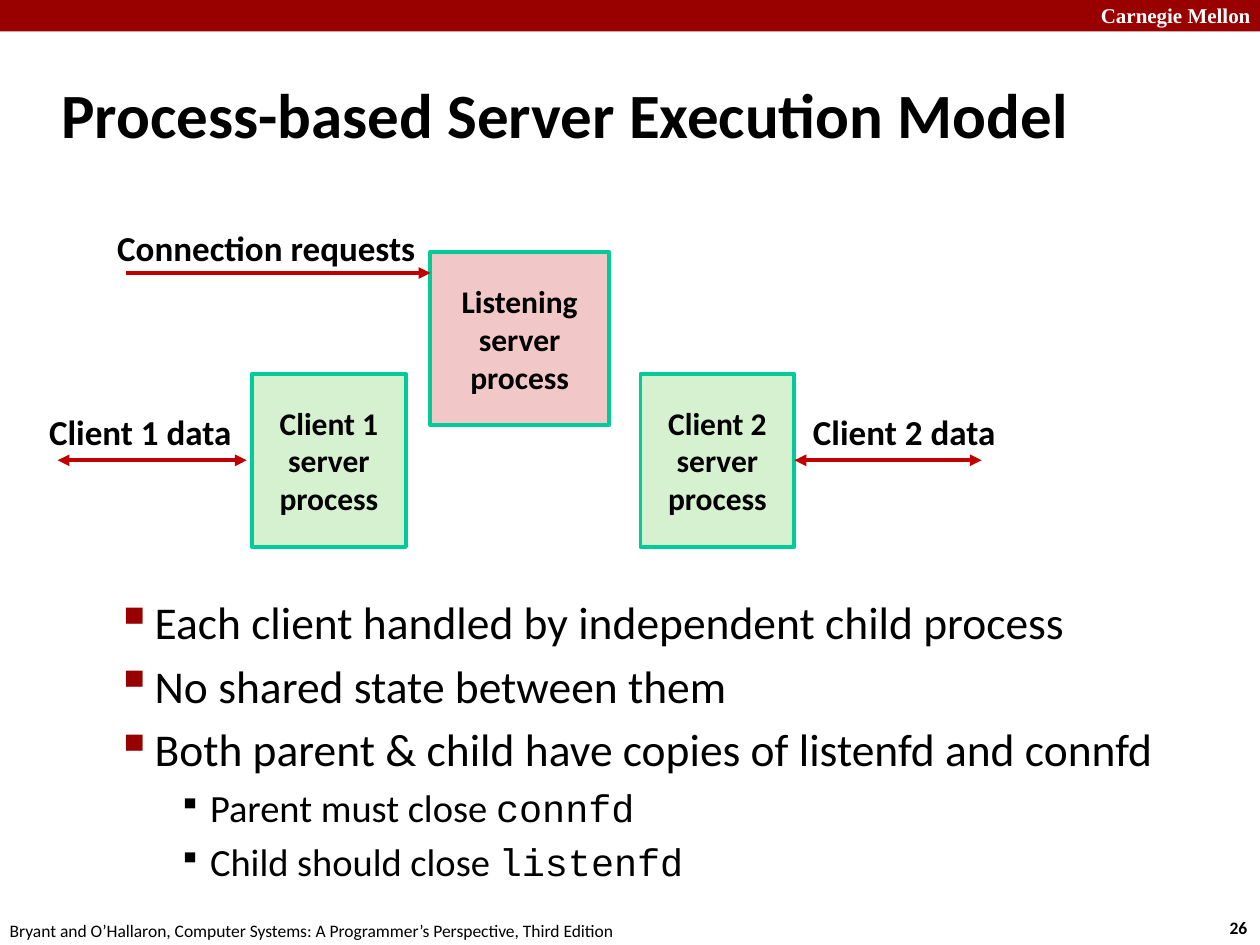
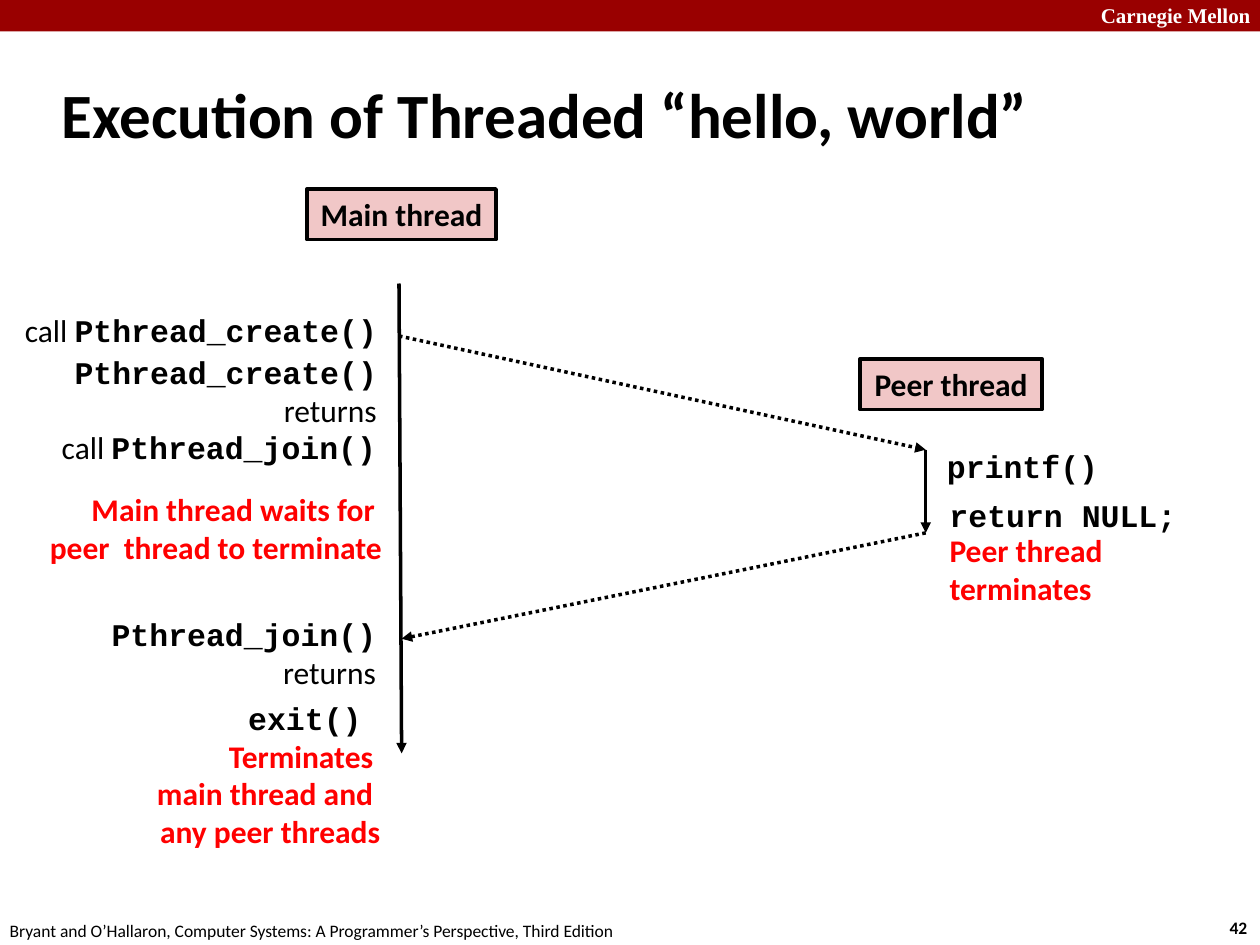
"""Build two slides on process-based servers and threaded execution."""
from dataclasses import dataclass

import lxml.etree
import pptx
import pptx.dml.color
import pptx.enum.dml
import pptx.enum.shapes
import pptx.enum.text
import pptx.oxml.ns
import pptx.util

Pt = pptx.util.Pt
Align = pptx.enum.text.PP_ALIGN
Anchor = pptx.enum.text.MSO_ANCHOR
qn = pptx.oxml.ns.qn


@dataclass(frozen=True)
class Style:
    font: str
    size: float
    color: str = "000000"
    bold: bool = True


@dataclass(frozen=True)
class Theme:
    band: str = "990000"
    listener: str = "F1C7C7"
    client: str = "D5F1CF"
    outline: str = "00CC99"
    arrow: str = "C00000"
    black: str = "000000"
    title: Style = Style("Calibri", 36)
    brand: Style = Style("Times New Roman", 12, "FFFFFF")
    number: Style = Style("Calibri", 10)
    footer: Style = Style("Calibri", 10, bold=False)
    label: Style = Style("Calibri", 20)
    box: Style = Style("Calibri", 18)
    plain: Style = Style("Calibri", 18, bold=False)
    code: Style = Style("Courier New", 18)
    alert: Style = Style("Calibri", 18, "FF0000")
    item: Style = Style("Calibri", 26, bold=False)
    subitem: Style = Style("Calibri", 22, bold=False)
    subitem_code: Style = Style("Courier New", 22, bold=False)


THEME = Theme()
Run = tuple[str, Style]
Line = tuple[Run, ...]


@dataclass(frozen=True)
class Label:
    left: float
    top: float
    width: float
    height: float
    lines: tuple[Line, ...]
    align: Align = Align.LEFT
    anchor: Anchor = Anchor.TOP
    wrap: bool = False


@dataclass(frozen=True)
class Box:
    left: float
    top: float
    width: float
    height: float
    text: str
    fill: str
    outline: str
    weight: float


@dataclass(frozen=True)
class Arrow:
    start: tuple[float, float]
    end: tuple[float, float]
    color: str
    weight: float
    both: bool = False
    dotted: bool = False


@dataclass(frozen=True)
class Bullet:
    margin: float
    hang: float
    percent: int
    color: str
    space: float


ITEM = Bullet(58.3, 22.3, 110, THEME.band, 5.2)
SUBITEM = Bullet(90, 18, 80, THEME.black, 4.4)


def rgb(color: str) -> pptx.dml.color.RGBColor:
    """Turn a hexadecimal string into a colour."""
    return pptx.dml.color.RGBColor.from_string(color)


def uniform(text: str, style: Style) -> tuple[Line, ...]:
    """Split text into lines that share one style."""
    return tuple(((line, style),) for line in text.split("\n"))


def write_lines(text_frame, lines: tuple[Line, ...], align: Align) -> None:
    """Write styled lines as the paragraphs of a text frame."""
    for index, line in enumerate(lines):
        paragraph = text_frame.add_paragraph() if index else text_frame.paragraphs[0]
        paragraph.alignment = align
        for text, style in line:
            run = paragraph.add_run()
            run.text = text
            run.font.name = style.font
            run.font.size = Pt(style.size)
            run.font.bold = style.bold
            run.font.color.rgb = rgb(style.color)


def draw_label(slide, label: Label):
    """Draw a text box and return it."""
    shape = slide.shapes.add_textbox(Pt(label.left), Pt(label.top), Pt(label.width), Pt(label.height))
    text_frame = shape.text_frame
    text_frame.word_wrap = label.wrap
    text_frame.vertical_anchor = label.anchor
    if not label.wrap:
        text_frame.auto_size = pptx.enum.text.MSO_AUTO_SIZE.SHAPE_TO_FIT_TEXT
    write_lines(text_frame, label.lines, label.align)
    return shape


def draw_rectangle(slide, left: float, top: float, width: float, height: float, fill: str):
    """Draw a flat rectangle without an outline and return it."""
    shape = slide.shapes.add_shape(
        pptx.enum.shapes.MSO_SHAPE.RECTANGLE, Pt(left), Pt(top), Pt(width), Pt(height))
    shape.shadow.inherit = False
    shape.fill.solid()
    shape.fill.fore_color.rgb = rgb(fill)
    shape.line.fill.background()
    return shape


def draw_box(slide, box: Box):
    """Draw an outlined rectangle with centred text and return it."""
    shape = draw_rectangle(slide, box.left, box.top, box.width, box.height, box.fill)
    shape.line.color.rgb = rgb(box.outline)
    shape.line.width = Pt(box.weight)
    shape.text_frame.word_wrap = False
    shape.text_frame.vertical_anchor = Anchor.MIDDLE
    write_lines(shape.text_frame, uniform(box.text, THEME.box), Align.CENTER)
    return shape


def draw_arrow(slide, arrow: Arrow):
    """Draw a straight arrow and return its connector."""
    connector = slide.shapes.add_connector(
        pptx.enum.shapes.MSO_CONNECTOR.STRAIGHT,
        *(Pt(value) for value in arrow.start + arrow.end))
    connector.line.color.rgb = rgb(arrow.color)
    connector.line.width = Pt(arrow.weight)
    if arrow.dotted:
        connector.line.dash_style = pptx.enum.dml.MSO_LINE.ROUND_DOT
    properties = connector.element.spPr
    line = properties.find(qn("a:ln"))
    for end in ("a:headEnd", "a:tailEnd") if arrow.both else ("a:tailEnd",):
        lxml.etree.SubElement(line, qn(end), type="triangle")
    lxml.etree.SubElement(properties, qn("a:effectLst"))
    return connector


def add_bullet(paragraph, bullet: Bullet, first: bool) -> None:
    """Give a paragraph a coloured square bullet with a hanging indent."""
    properties = paragraph._p.get_or_add_pPr()
    properties.set("marL", str(Pt(bullet.margin)))
    properties.set("indent", str(-Pt(bullet.hang)))
    color = lxml.etree.SubElement(properties, qn("a:buClr"))
    lxml.etree.SubElement(color, qn("a:srgbClr"), val=bullet.color)
    lxml.etree.SubElement(properties, qn("a:buSzPct"), val=str(bullet.percent * 1000))
    lxml.etree.SubElement(properties, qn("a:buChar"), char="▪")
    paragraph.space_before = Pt(0 if first else bullet.space)


def add_slide(presentation, title: str, number: int):
    """Add a slide with the shared band, title and footer."""
    slide = presentation.slides.add_slide(presentation.slide_layouts[6])
    draw_rectangle(slide, 0, 0, 720, 18, THEME.band)
    footer = "Bryant and O’Hallaron, Computer Systems: A Programmer’s Perspective, Third Edition"
    for label in (
        Label(622, -2, 103, 22, uniform("Carnegie Mellon", THEME.brand), wrap=True),
        Label(695.5, 520.5, 27, 19.5, uniform(str(number), THEME.number)),
        Label(-1.5, 522, 366, 19.5, uniform(footer, THEME.footer)),
        Label(28, 34.5, 598, 60, uniform(title, THEME.title), anchor=Anchor.MIDDLE, wrap=True),
    ):
        draw_label(slide, label)
    return slide


def build_process_slide(presentation) -> None:
    """Build the slide on the process-based server."""
    slide = add_slide(presentation, "Process-based Server Execution Model", 26)
    client_top, client_width, client_height = 213.5, 88, 99
    middle = client_top + client_height / 2
    client_boxes = [
        draw_box(slide, Box(left, client_top, client_width, client_height,
                            f"Client {index}\nserver\nprocess", THEME.client, THEME.outline, 2.25))
        for index, left in enumerate((144, 366), start=1)
    ]
    draw_box(slide, Box(246, 144, 102, 99, "Listening\nserver\nprocess",
                        THEME.listener, THEME.outline, 2.25))
    draw_arrow(slide, Arrow((72, 156), (246, 156), THEME.arrow, 2.25))
    draw_arrow(slide, Arrow((33, middle), (141, middle), THEME.arrow, 2.25, both=True))
    client_2_data = draw_arrow(
        slide, Arrow((561, middle), (454, middle), THEME.arrow, 2.25, both=True))
    client_2_data.end_connect(client_boxes[1], 3)
    for left, top, width, text in (
        (57.5, 126, 187, "Connection requests"),
        (19.5, 231, 120, "Client 1 data"),
        (456, 231, 120, "Client 2 data"),
    ):
        draw_label(slide, Label(left, top, width, 31.5, uniform(text, THEME.label), Align.RIGHT))

    items = uniform("Each client handled by independent child process\n"
                    "No shared state between them\n"
                    "Both parent & child have copies of listenfd and connfd", THEME.item)
    subitems = tuple(
        ((text, THEME.subitem), (name, THEME.subitem_code))
        for text, name in (("Parent must close ", "connfd"), ("Child should close ", "listenfd")))
    body = draw_label(slide, Label(23, 336, 654, 160, items + subitems, wrap=True))
    for index, paragraph in enumerate(body.text_frame.paragraphs):
        add_bullet(paragraph, ITEM if index < len(items) else SUBITEM, index == 0)


def build_thread_slide(presentation) -> None:
    """Build the slide on the threaded program."""
    slide = add_slide(presentation, "Execution of Threaded “hello, world”", 42)
    for left, top, width, text in ((175.5, 108, 108, "Main thread"), (491.5, 205, 104, "Peer thread")):
        draw_box(slide, Box(left, top, width, 29, text, THEME.listener, THEME.black, 2))

    peer_start, peer_end = (529, 257), (529, 304.5)
    for start, end, dotted in (
        ((228, 162), (229.5, 430.5), False),
        (peer_start, peer_end, False),
        ((228, 192), peer_start, True),
        (peer_end, (229.5, 365), True),
    ):
        draw_arrow(slide, Arrow(start, end, THEME.black, 2, dotted=dotted))

    code, plain, alert = THEME.code, THEME.plain, THEME.alert
    right, middle = Align.RIGHT, Anchor.MIDDLE
    for label in (
        Label(0.5, 174, 222, 29, ((("call ", plain), ("Pthread_create()", code)),), right),
        Label(33, 198, 189.5, 51, ((("Pthread_create()", code),), (("returns", plain),)), right),
        Label(22.5, 241, 199.5, 29, ((("call ", plain), ("Pthread_join()", code)),), right),
        Label(18, 276, 207.5, 51,
              uniform("Main thread waits for \npeer  thread to terminate", alert), right, middle),
        Label(24, 348, 198, 51, ((("Pthread_join() ", code), ("returns", plain)),), right, wrap=True),
        Label(82, 395.5, 142.5, 94,
              uniform("exit() ", code)
              + uniform("Terminates \nmain thread and \nany peer threads", alert), right, middle),
        Label(534, 252, 101.5, 29, uniform("printf()", code), anchor=middle),
        Label(535.5, 279.5, 150, 29, uniform("return NULL;", code), anchor=middle),
        Label(535.5, 300, 104, 51, uniform("Peer thread\nterminates", alert)),
    ):
        draw_label(slide, label)


def main() -> None:
    """Build and save the presentation."""
    presentation = pptx.Presentation()
    presentation.slide_width, presentation.slide_height = Pt(720), Pt(540)
    build_process_slide(presentation)
    build_thread_slide(presentation)
    presentation.save("out.pptx")


if __name__ == "__main__":
    main()
